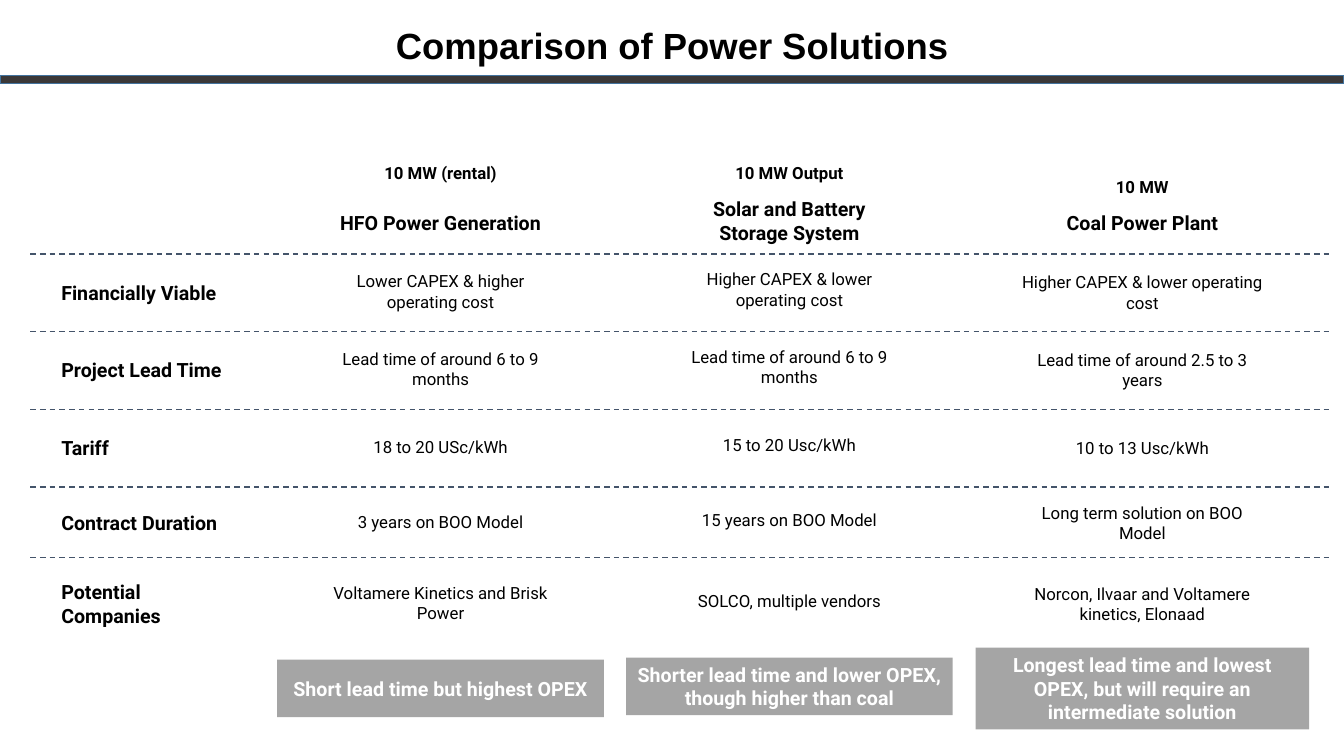
"""Build a slide that compares three power solutions row by row."""
from dataclasses import dataclass

from lxml import etree
from pptx import Presentation
from pptx.dml.color import RGBColor
from pptx.enum.dml import MSO_LINE
from pptx.enum.shapes import MSO_CONNECTOR, MSO_SHAPE
from pptx.enum.text import MSO_ANCHOR, PP_ALIGN
from pptx.oxml.ns import qn
from pptx.slide import Slide
from pptx.text.text import TextFrame
from pptx.util import Inches, Pt

BLACK = RGBColor(0x00, 0x00, 0x00)
WHITE = RGBColor(0xFF, 0xFF, 0xFF)
GRAY = RGBColor(0xA5, 0xA5, 0xA5)
SLATE = RGBColor(0x44, 0x54, 0x6A)
CHARCOAL = RGBColor(0x3B, 0x38, 0x38)
BLUE = RGBColor(0x43, 0x73, 0x9E)


@dataclass
class Row:
    label: str
    middle: float
    rule: float


@dataclass
class Solution:
    center: float
    width: float
    shift: float
    capacity: str
    capacity_middle: float
    name: str
    name_width: float
    name_middle: float
    cells: list[str]
    verdict: str
    verdict_middle: float
    verdict_width: float
    verdict_height: float


ROWS = [
    Row("Financially Viable", 2.89, 2.52),
    Row("Project Lead Time", 3.66, 3.29),
    Row("Tariff", 4.43, 4.06),
    Row("Contract Duration", 5.18, 4.83),
    Row("Potential Companies", 5.98, 5.53),
]

SOLUTIONS = [
    Solution(
        4.37, 2.55, 0, "10 MW (rental)", 1.71, "HFO Power Generation", 2.55, 2.21,
        ["Lower CAPEX & higher operating cost", "Lead time of around 6 to 9 months",
         "18 to 20 USc/kWh", "3 years on BOO Model",
         "Voltamere Kinetics and Brisk Power"],
        "Short lead time but highest OPEX", 6.83, 3.24, 0.57),
    Solution(
        7.83, 2.55, -0.02, "10 MW Output", 1.71,
        "Solar and Battery Storage System", 2.14, 2.19,
        ["Higher CAPEX & lower operating cost", "Lead time of around 6 to 9 months",
         "15 to 20 Usc/kWh", "15 years on BOO Model", "SOLCO, multiple vendors"],
        "Shorter lead time and lower OPEX, though higher than coal", 6.81, 3.24, 0.57),
    Solution(
        11.33, 2.61, 0.01, "10 MW", 1.85, "Coal Power Plant", 2.19, 2.21,
        ["Higher CAPEX & lower operating cost", "Lead time of around 2.5 to 3 years",
         "10 to 13 Usc/kWh", "Long term solution on BOO Model",
         "Norcon, Ilvaar and Voltamere kinetics, Elonaad"],
        "Longest lead time and lowest OPEX, but will require an intermediate solution",
        6.83, 3.31, 0.81),
]


def write(tf: TextFrame, text: str, size: float, bold: bool = False,
          color: RGBColor = BLACK, align: PP_ALIGN = PP_ALIGN.CENTER,
          font: str = "Roboto") -> None:
    tf.word_wrap = True
    tf.vertical_anchor = MSO_ANCHOR.MIDDLE
    p = tf.paragraphs[0]
    p.text = text
    p.alignment = align
    p.font.name = font
    p.font.size = Pt(size)
    p.font.bold = bold
    p.font.color.rgb = color


def add_text(s: Slide, text: str, left: float, middle: float, width: float,
             size: float, bold: bool = False,
             align: PP_ALIGN = PP_ALIGN.CENTER) -> None:
    height = 0.56
    sp = s.shapes.add_textbox(Inches(left), Inches(middle - height / 2),
                              Inches(width), Inches(height))
    write(sp.text_frame, text, size, bold, align=align)


def add_rule(s: Slide, y: float) -> None:
    line = s.shapes.add_connector(MSO_CONNECTOR.STRAIGHT, Inches(0.3), Inches(y),
                                  Inches(13.19), Inches(y))
    line.line.color.rgb = SLATE
    line.line.width = Pt(1)
    line.line.dash_style = MSO_LINE.DASH
    etree.SubElement(line._element.spPr, qn("a:effectLst"))


def add_title(s: Slide) -> None:
    bar = s.shapes.add_shape(MSO_SHAPE.RECTANGLE, 0, Inches(0.75),
                             Inches(13.33), Inches(0.08))
    bar.shadow.inherit = False
    bar.fill.solid()
    bar.fill.fore_color.rgb = CHARCOAL
    bar.line.color.rgb = BLUE
    bar.line.width = Pt(1)
    title = s.shapes.title
    title.left, title.top = Inches(0.92), Inches(-0.25)
    title.width, title.height = Inches(11.5), Inches(1.45)
    write(title.text_frame, "Comparison of Power Solutions", 26, True, font="Arial")
    title.text_frame.paragraphs[0].line_spacing = 0.9


def add_verdict(s: Slide, item: Solution) -> None:
    sp = s.shapes.add_shape(
        MSO_SHAPE.RECTANGLE,
        Inches(item.center - item.verdict_width / 2),
        Inches(item.verdict_middle - item.verdict_height / 2),
        Inches(item.verdict_width), Inches(item.verdict_height))
    sp.shadow.inherit = False
    sp.fill.solid()
    sp.fill.fore_color.rgb = GRAY
    sp.line.fill.background()
    write(sp.text_frame, item.verdict, 14, True, WHITE)


def add_solution(s: Slide, item: Solution) -> None:
    add_text(s, item.capacity, item.center - 0.82, item.capacity_middle, 1.64, 12, True)
    add_text(s, item.name, item.center - item.name_width / 2, item.name_middle,
             item.name_width, 14, True)
    for row, cell in zip(ROWS, item.cells):
        add_text(s, cell, item.center - item.width / 2, row.middle + item.shift,
                 item.width, 12)
    add_verdict(s, item)


def main() -> None:
    prs = Presentation()
    prs.slide_width, prs.slide_height = Inches(13.33), Inches(7.5)
    s = prs.slides.add_slide(prs.slide_layouts[5])
    add_title(s)
    for row in ROWS:
        add_rule(s, row.rule)
        add_text(s, row.label, 0.51, row.middle + 0.01, 1.9, 14, True, PP_ALIGN.LEFT)
    for item in SOLUTIONS:
        add_solution(s, item)
    prs.save("out.pptx")


if __name__ == "__main__":
    main()
